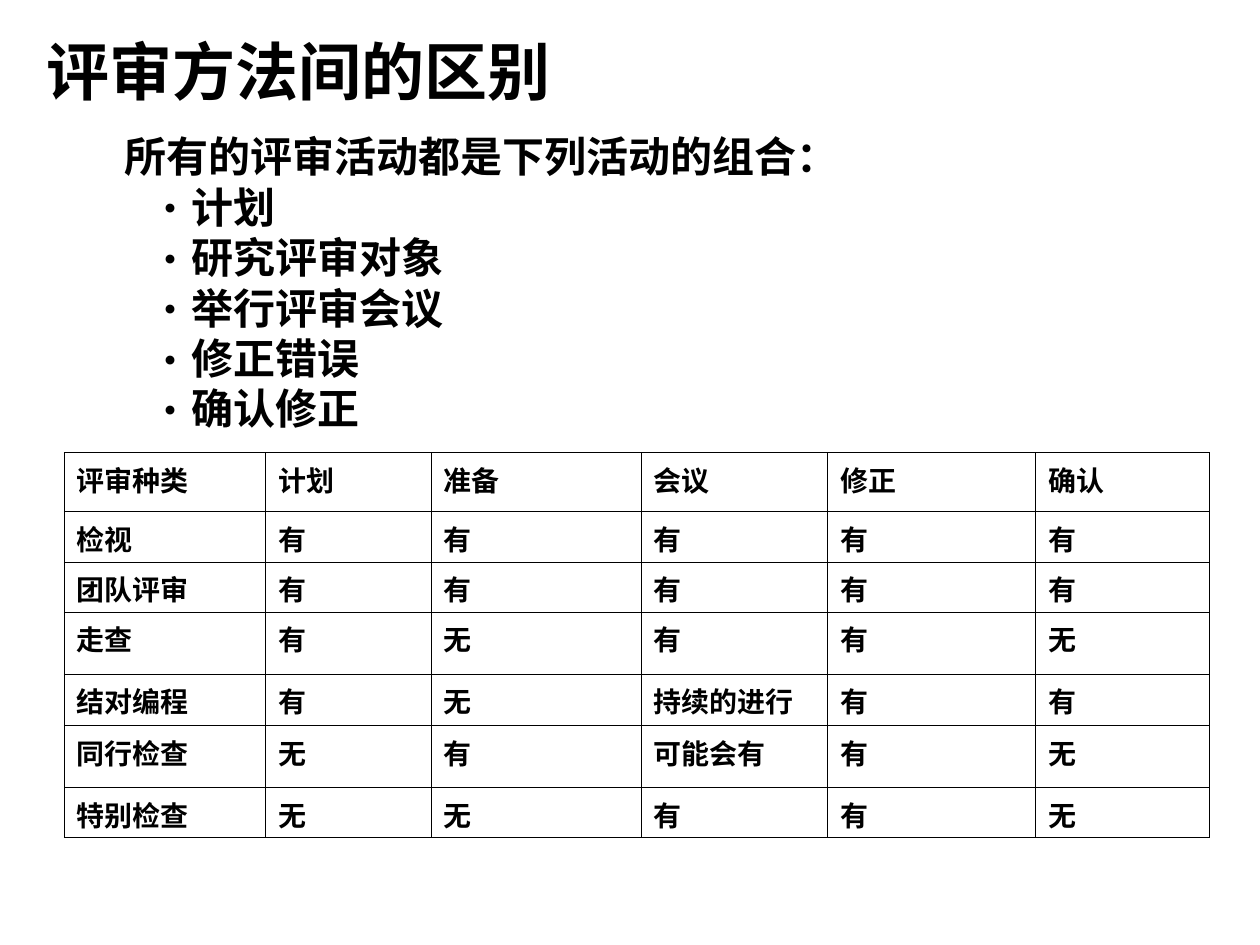
"""Build a slide comparing review methods with an activity list and a table."""
from lxml.etree import SubElement
from pptx import Presentation
from pptx.dml.color import RGBColor
from pptx.enum.text import MSO_ANCHOR, MSO_AUTO_SIZE, PP_ALIGN
from pptx.oxml.ns import qn
from pptx.util import Inches, Pt

COLORS = {"text": "000000", "border": "000000"}
BODY_FONT = "DejaVu Sans"
TABLE_FONT = "Noto Sans CJK SC"


def add_run(paragraph, text, size, font_name):
    run = paragraph.add_run()
    run.text = text
    run.font.size = Pt(size)
    run.font.bold = True
    run.font.color.rgb = RGBColor.from_string(COLORS["text"])
    run.font.name = font_name
    SubElement(run.font._element, qn("a:ea"), typeface=font_name)


def set_indent(paragraph, left, first):
    properties = paragraph._p.get_or_add_pPr()
    properties.set("marL", str(Inches(left)))
    properties.set("indent", str(Inches(first)))
    return properties


presentation = Presentation()
presentation.slide_width = Inches(10)
presentation.slide_height = Inches(7.5)
slide = presentation.slides.add_slide(presentation.slide_layouts[5])

title = slide.shapes.title
title.left, title.top = Inches(0.27), Inches(0.21)
title.width, title.height = Inches(4.41), Inches(0.7)
title.text_frame.word_wrap = False
title.text_frame.auto_size = MSO_AUTO_SIZE.NONE
title.text_frame.vertical_anchor = MSO_ANCHOR.TOP
title_paragraph = title.text_frame.paragraphs[0]
title_paragraph.alignment = PP_ALIGN.LEFT
add_run(title_paragraph, "评审方法间的区别", 36, BODY_FONT)

activities = slide.shapes.add_textbox(Inches(0.59), Inches(0.99), Inches(8.66), Inches(2.5))
activities.text_frame.word_wrap = True
lead = activities.text_frame.paragraphs[0]
set_indent(lead, 0.3, 0)
add_run(lead, "所有的评审活动都是下列活动的组合：", 24, BODY_FONT)
for activity in ["计划", "研究评审对象", "举行评审会议", "修正错误", "确认修正"]:
    paragraph = activities.text_frame.add_paragraph()
    paragraph.level = 1
    properties = set_indent(paragraph, 0.83, -0.33)
    SubElement(properties, qn("a:buFont"), typeface=TABLE_FONT)
    SubElement(properties, qn("a:buChar"), char="•")
    add_run(paragraph, activity, 24, BODY_FONT)

rows = [
    ["评审种类", "计划", "准备", "会议", "修正", "确认"],
    ["检视", "有", "有", "有", "有", "有"],
    ["团队评审", "有", "有", "有", "有", "有"],
    ["走查", "有", "无", "有", "有", "无"],
    ["结对编程", "有", "无", "持续的进行", "有", "有"],
    ["同行检查", "无", "有", "可能会有", "有", "无"],
    ["特别检查", "无", "无", "有", "有", "无"],
]
column_widths = [1.6, 1.31, 1.67, 1.48, 1.65, 1.38]
row_heights = [0.47, 0.4, 0.4, 0.49, 0.41, 0.49, 0.4]
table = slide.shapes.add_table(
    len(rows), len(column_widths), Inches(0.51), Inches(3.59), Inches(9.1), Inches(3.07)
).table
table.first_row = False
table.horz_banding = False
for column, width in zip(table.columns, column_widths):
    column.width = Inches(width)
for row, height, texts in zip(table.rows, row_heights, rows):
    row.height = Inches(height)
    for cell, text in zip(row.cells, texts):
        cell_properties = cell._tc.get_or_add_tcPr()
        for side in ["lnL", "lnR", "lnT", "lnB"]:
            line = SubElement(cell_properties, qn(f"a:{side}"), w=str(Pt(0.45)))
            line_fill = SubElement(line, qn("a:solidFill"))
            SubElement(line_fill, qn("a:srgbClr"), val=COLORS["border"])
        cell.fill.background()
        paragraph = cell.text_frame.paragraphs[0]
        set_indent(paragraph, 0.38, -0.38)
        add_run(paragraph, text, 16, TABLE_FONT)

presentation.save("out.pptx")
